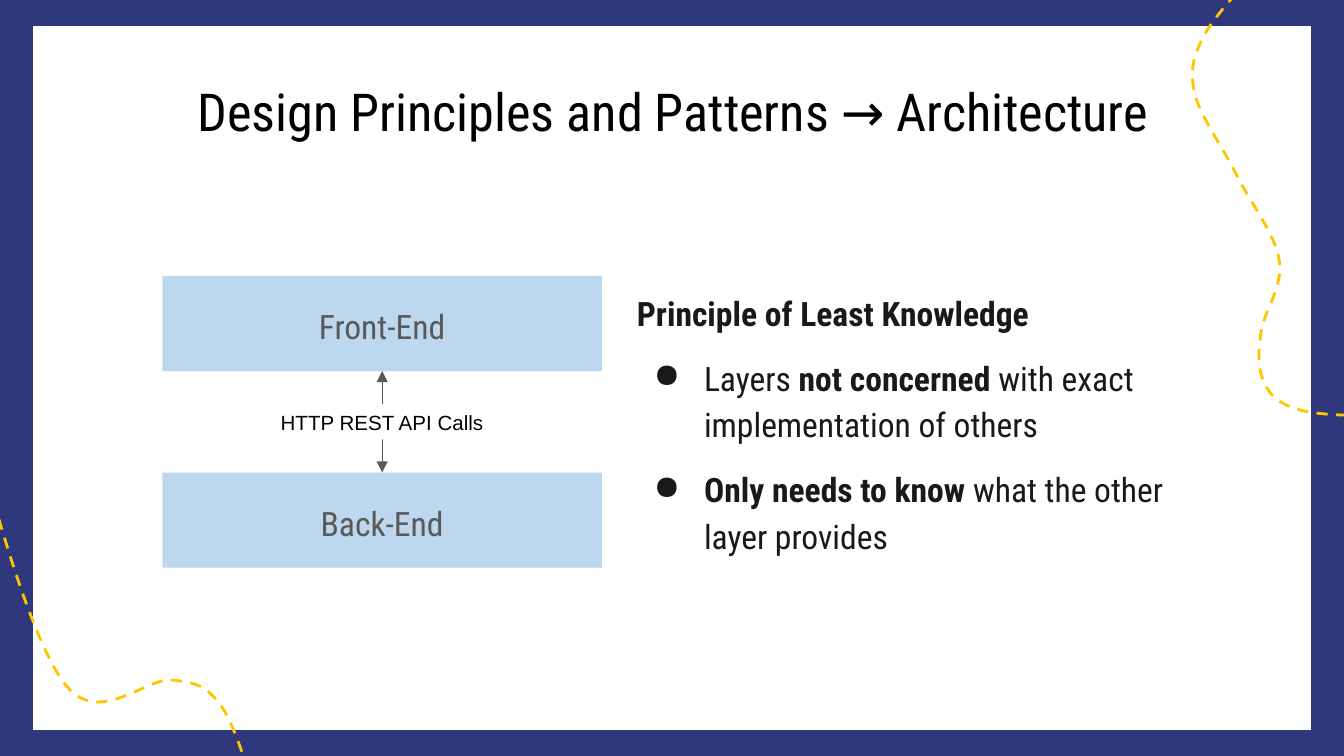
from dataclasses import dataclass
from typing import Any

from lxml.etree import SubElement
from pptx import Presentation
from pptx.dml.color import RGBColor
from pptx.enum.dml import MSO_LINE
from pptx.enum.shapes import MSO_CONNECTOR, MSO_SHAPE
from pptx.enum.text import MSO_ANCHOR as Anchor, PP_ALIGN as Align
from pptx.oxml.ns import qn
from pptx.util import Pt

NAVY, WHITE, YELLOW = "2F387D", "FFFFFF", "FFC501"
BLUE, GREY, INK, BLACK = "BDD7EE", "595959", "191919", "000000"
CONDENSED = "Roboto Condensed"
WIDTH, HEIGHT = 720, 405
Point = tuple[float, float]


@dataclass
class Box:
    left: float
    top: float
    width: float
    height: float

    def emu(self) -> list[int]:
        return [Pt(v) for v in (self.left, self.top, self.width, self.height)]


@dataclass
class Style:
    size: float
    color: str
    font: str = CONDENSED


@dataclass
class Para:
    runs: list[tuple[str, bool]]
    fmt: dict[str, Any]
    bullet: bool = False


def rgb(color: str) -> RGBColor:
    return RGBColor.from_string(color)


def set_all(target: Any, fmt: dict[str, Any]) -> None:
    for name, value in fmt.items():
        setattr(target, name, value)


def add_bullet(p: Any, color: str) -> None:
    pr = p._p.get_or_add_pPr()
    pr.set("marL", str(Pt(36)))
    pr.set("indent", str(-Pt(27)))
    SubElement(SubElement(pr, qn("a:buClr")), qn("a:srgbClr"), val=color)
    SubElement(pr, qn("a:buChar"), char="●")


def write(sp: Any, paras: list[Para], style: Style, anchor: Anchor) -> None:
    tf = sp.text_frame
    margins = dict.fromkeys(
        ("margin_left", "margin_top", "margin_right", "margin_bottom"), Pt(7.2))
    set_all(tf, {"word_wrap": True, "vertical_anchor": anchor, **margins})
    for i, para in enumerate(paras):
        p = tf.add_paragraph() if i else tf.paragraphs[0]
        set_all(p, para.fmt)
        if para.bullet:
            add_bullet(p, style.color)
        for text, bold in para.runs:
            r = p.add_run()
            r.text = text
            set_all(r.font, {"size": Pt(style.size), "name": style.font, "bold": bold})
            r.font.color.rgb = rgb(style.color)


def add_rect(s: Any, box: Box, fill: str, line: str | None = None) -> Any:
    sp = s.shapes.add_shape(MSO_SHAPE.RECTANGLE, *box.emu())
    sp.shadow.inherit = False
    sp.fill.solid()
    sp.fill.fore_color.rgb = rgb(fill)
    if line:
        sp.line.color.rgb = rgb(line)
        sp.line.width = Pt(0.75)
    else:
        sp.line.fill.background()
    return sp


def add_label(s: Any, box: Box, fill: str, text: str, style: Style,
              spacing: float = 1.0) -> None:
    fmt = {"alignment": Align.CENTER, "line_spacing": spacing}
    write(add_rect(s, box, fill), [Para([(text, False)], fmt)], style, Anchor.MIDDLE)


def add_text(s: Any, box: Box, paras: list[Para], style: Style, anchor: Anchor) -> None:
    write(s.shapes.add_textbox(*box.emu()), paras, style, anchor)


def add_dashed_curve(s: Any, points: list[Point]) -> None:
    """Draw a Bézier path: a start point, then three points per segment."""
    start, *rest = [(Pt(x), Pt(y)) for x, y in points]
    builder = s.shapes.build_freeform(*start)
    builder.add_line_segments(rest, close=False)
    sp = builder.convert_to_shape()
    sp.shadow.inherit = False
    sp.fill.background()
    sp.line.color.rgb = rgb(YELLOW)
    set_all(sp.line, {"width": Pt(1.5), "dash_style": MSO_LINE.DASH})
    # Turn each three straight steps into one cubic segment
    outline = sp._element.find(".//" + qn("a:path"))
    steps = outline.findall(qn("a:lnTo"))
    for i in range(0, len(steps), 3):
        cubic = SubElement(outline, qn("a:cubicBezTo"))
        for step in steps[i:i + 3]:
            cubic.append(step[0])
            outline.remove(step)


def add_double_arrow(s: Any, x: float, top: float, bottom: float) -> None:
    c = s.shapes.add_connector(
        MSO_CONNECTOR.STRAIGHT, Pt(x), Pt(top), Pt(x), Pt(bottom))
    c.line.color.rgb = rgb(GREY)
    c.line.width = Pt(0.75)
    for end in ("a:headEnd", "a:tailEnd"):
        SubElement(c.line._get_or_add_ln(), qn(end), type="triangle")
    SubElement(c._element.spPr, qn("a:effectLst"))


RIGHT_CURVE: list[Point] = [
    (668.9, -11.5),
    (664.6, -5.8), (649.4, 10.1), (644.4, 20.2),
    (639.4, 30.2), (637.2, 38.2), (640.1, 50.4),
    (643, 61.9), (653.8, 77), (661.7, 92.2),
    (668.9, 107.3), (683.3, 125.3), (685.4, 139.7),
    (687.6, 154.1), (676.1, 168.5), (675.4, 179.3),
    (673.9, 190.1), (673.9, 198.7), (677.5, 205.2),
    (680.4, 212.4), (685.4, 216), (694.1, 218.9),
    (702, 221.8), (716.4, 222.5), (726.5, 222.5),
    (736.6, 223.2), (749.5, 220.3), (754.6, 219.6),
]
LEFT_CURVE: list[Point] = [
    (-20.2, 143.3),
    (-18.7, 159.1), (-20.2, 203), (-10.8, 240.5),
    (-1.4, 277.9), (18.7, 347.8), (36, 367.9),
    (53.3, 388.8), (78.5, 362.9), (92.2, 364.3),
    (105.8, 365.8), (110.2, 367.9), (116.6, 375.8),
    (123.8, 383.8), (130.3, 405.4), (132.5, 411.1),
]


def main() -> None:
    prs = Presentation()
    set_all(prs, {"slide_width": Pt(WIDTH), "slide_height": Pt(HEIGHT)})
    s = prs.slides.add_slide(prs.slide_layouts[6])

    # Frame and dashed curves
    add_rect(s, Box(0, 0, WIDTH, HEIGHT), NAVY, NAVY)
    add_rect(s, Box(17.4, 13.7, 685.2, 377.6), WHITE, NAVY)
    for points in (RIGHT_CURVE, LEFT_CURVE):
        add_dashed_curve(s, points)

    # Title
    title = Para([("Design Principles and Patterns → Architecture", False)],
                 {"alignment": Align.CENTER})
    add_text(s, Box(56.9, 35.3, 607, 45.4), [title], Style(28, BLACK), Anchor.TOP)

    # Layer diagram
    front = Box(87, 147.8, 235.5, 51)
    back = Box(front.left, 253.2, front.width, front.height)
    for box, name in ((front, "Front-End"), (back, "Back-End")):
        add_label(s, box, BLUE, name, Style(18, GREY), 1.15)
    center = front.left + front.width / 2
    front_bottom = front.top + front.height
    add_double_arrow(s, center, front_bottom, back.top)
    width, height = 136, 19
    middle = (front_bottom + back.top) / 2
    add_label(s, Box(center - width / 2, middle - height / 2, width, height),
              WHITE, "HTTP REST API Calls", Style(11, BLACK, "Arial"))

    # Principle and its points
    heading = {"line_spacing": 1.15}
    item = {**heading, "space_before": Pt(10)}
    paras = [
        Para([("Principle of Least Knowledge", True)], heading),
        Para([("Layers ", False), ("not concerned ", True),
              ("with exact implementation of others", False)], item, True),
        Para([("Only needs to know", True),
              (" what the other layer provides", False)],
             {**item, "space_after": Pt(10)}, True),
    ]
    add_text(s, Box(334.1, 147.6, 298.8, 156.2), paras, Style(18, INK), Anchor.MIDDLE)

    prs.save("out.pptx")


if __name__ == "__main__":
    main()
